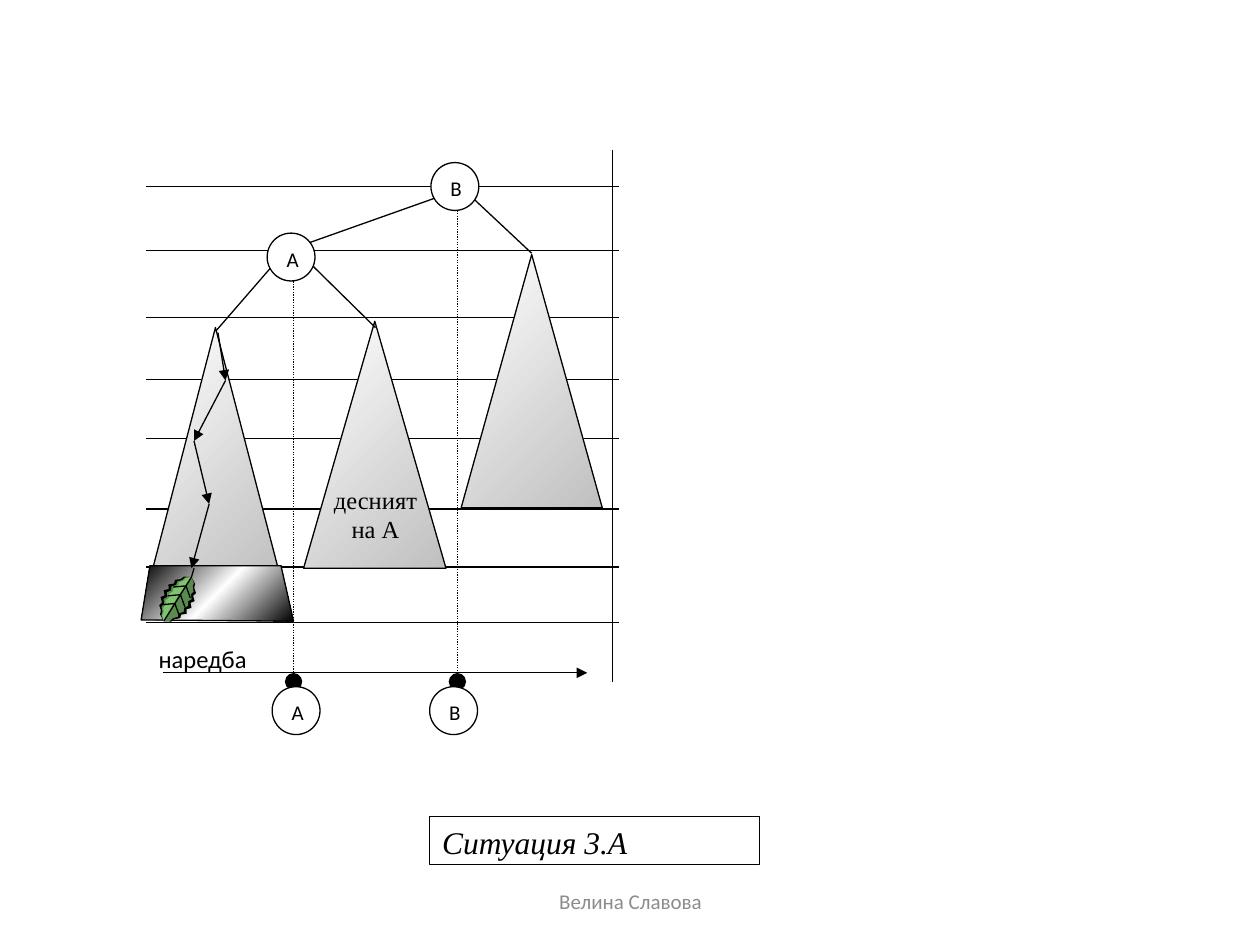
from collections import namedtuple
from copy import deepcopy
from math import pi, sin
from lxml import etree
from pptx import Presentation
from pptx.dml.color import RGBColor
from pptx.enum.dml import MSO_LINE
from pptx.enum.shapes import MSO_CONNECTOR, MSO_SHAPE
from pptx.enum.text import MSO_ANCHOR, PP_ALIGN
from pptx.oxml.ns import qn
from pptx.util import Inches, Pt

COLORS = {"ink": "000000", "paper": "FFFFFF", "shade": "C0C0C0",
          "leaf": "5A8A4F", "light": "7FC470", "footer": "8C8C8C"}

LEVELS = [3.8, 8.9, 14.2, 19.1, 23.8, 29.4, 34, 38.4]
PROJECTIONS = [(12.3, 10.1), (25.3, 5.1)]
SUBTREES = [(13.1, 14.5, 11.3, 19.6), (1, 15, 10.2, 19.6), (25.6, 9.2, 11.2, 20.1)]
EDGES = [((18.8, 15), (12.8, 9.1)), ((6.2, 15.2), (11.4, 9.2)),
         ((23.6, 4.7), (12.6, 8.6)), ((26.5, 4.7), (31.2, 9.1))]
NODES = [("B", 23.2, 1.9), ("A", 10.2, 7.5), ("B", 23.1, 43.5), ("A", 10.6, 43.5)]
SEARCH_PATH = [(6.3, 15.4), (6.9, 19.2), (4.4, 24), (5.6, 29), (4.2, 34.1)]
LEAF_ROW = [(0.9, 33.9), (0.2, 38.2), (12.3, 38.3), (11.3, 33.9)]


class Box(namedtuple("Box", "x y w h cols rows", defaults=(1, 1))):
    def at(self, c, r):
        return (Inches(self.x + c * self.w / self.cols),
                Inches(self.y + r * self.h / self.rows))

    def area(self, c, r, w, h):
        return (*self.at(c, r), Inches(w * self.w / self.cols),
                Inches(h * self.h / self.rows))


def rgb(name):
    return RGBColor.from_string(COLORS[name])


def outline(sp):
    sp.line.color.rgb = rgb("ink")
    sp.line.width = Pt(0.75)


def paint(sp, *names, lined=True):
    sp.shadow.inherit = False
    if len(names) == 1:
        sp.fill.solid()
        sp.fill.fore_color.rgb = rgb(names[0])
    else:
        sp.fill.gradient()
        sp.fill.gradient_angle = 315
        stops = sp._element.spPr.find(qn("a:gradFill")).find(qn("a:gsLst"))
        for _ in names[2:]:
            stops.append(deepcopy(stops[0]))
        for i, (stop, name) in enumerate(zip(sp.fill.gradient_stops, names)):
            stop.color.rgb = rgb(name)
            stop.position = i / (len(names) - 1)
    if lined:
        outline(sp)
    else:
        sp.line.fill.background()


def line(s, box, start, end, tail=None, size="med", dash=None):
    cn = s.shapes.add_connector(MSO_CONNECTOR.STRAIGHT, *box.at(*start), *box.at(*end))
    outline(cn)
    if dash:
        cn.line.dash_style = dash
    if tail:
        etree.SubElement(cn.line._get_or_add_ln(), qn("a:tailEnd"),
                         type=tail, w=size, len=size)
    etree.SubElement(cn._element.spPr, qn("a:effectLst"))


def polygon(s, box, points, *names, lined=True):
    corners = [box.at(*pt) for pt in points]
    fb = s.shapes.build_freeform(*corners[0])
    fb.add_line_segments(corners[1:], close=True)
    paint(fb.convert_to_shape(), *names, lined=lined)


def write(sp, text, size, font="Calibri", color="ink", align=PP_ALIGN.LEFT,
          anchor=MSO_ANCHOR.TOP, italic=False):
    tf = sp.text_frame
    tf.word_wrap = True
    tf.vertical_anchor = anchor
    tf.text = text
    for p in tf.paragraphs:
        p.alignment = align
        for r in p.runs:
            r.font.size = Pt(size)
            r.font.name = font
            r.font.italic = italic
            r.font.color.rgb = rgb(color)


def leaf_point(t, offset):
    return 26 - 22 * t + 0.85 * offset, 8 + 35 * t + 0.54 * offset


def leaf_edge(width):
    teeth = 14
    return [leaf_point(k / teeth, width * (1 if k % 2 else 0.8) * sin(pi * k / teeth) ** 0.6)
            for k in range(teeth + 1)]


def add_leaf(s, box):
    for name, left, right in [("ink", -13, 13), ("leaf", -10, 10), ("light", -8, -1)]:
        polygon(s, box, leaf_edge(left) + leaf_edge(right)[::-1], name, lined=False)
    line(s, box, (28, 1), leaf_point(0, 0))
    line(s, box, leaf_point(0, 0), leaf_point(1, 0))
    for t in (0.2, 0.4, 0.6):
        for side in (-8, 8):
            line(s, box, leaf_point(t, 0), leaf_point(t + 0.15, side))


def add_tree(s, box):
    for c, r in PROJECTIONS:
        line(s, box, (c, r), (c, 43.1), "oval", "lg", MSO_LINE.ROUND_DOT)
    for r in LEVELS:
        line(s, box, (0.6, r), (38.1, r))
    for place in SUBTREES:
        paint(s.shapes.add_shape(MSO_SHAPE.ISOSCELES_TRIANGLE, *box.area(*place)),
              "paper", "shade")
    for start, end in EDGES:
        line(s, box, start, end)
    for name, c, r in NODES:
        sp = s.shapes.add_shape(MSO_SHAPE.OVAL, *box.area(c, r, 3.8, 3.8))
        paint(sp, "paper")
        write(sp, name, 12)
    line(s, box, (37.6, 0.9), (37.6, 43.1))
    polygon(s, box, LEAF_ROW, "ink", "paper", "ink")
    for start, end in zip(SEARCH_PATH, SEARCH_PATH[1:]):
        line(s, box, start, end, "triangle")
    line(s, box, (1.9, 42.4), (35.6, 42.4), "triangle")
    write(s.shapes.add_textbox(*box.area(0.6, 39.6, 16.2, 4.7)), "наредба", 14,
          align=PP_ALIGN.JUSTIFY)
    write(s.shapes.add_textbox(*box.area(11.4, 27, 14.8, 5.7)), "десният\nна А", 14,
          "Times New Roman", align=PP_ALIGN.CENTER)


def add_caption(s, box):
    sp = s.shapes.add_shape(MSO_SHAPE.RECTANGLE, *box.area(0, 0, 1, 1))
    paint(sp, "paper")
    write(sp, "Ситуация 3.А", 18, "Times New Roman", align=PP_ALIGN.JUSTIFY, italic=True)
    sp.text_frame.margin_bottom = 0


def add_footer(s, box):
    write(s.shapes.add_textbox(*box.area(0, 0, 1, 1)), "Велина Славова", 12,
          color="footer", align=PP_ALIGN.CENTER, anchor=MSO_ANCHOR.MIDDLE)


def main():
    prs = Presentation()
    prs.slide_width, prs.slide_height = Inches(10), Inches(7.5)
    s = prs.slides.add_slide(prs.slide_layouts[6])
    add_tree(s, Box(1.1, 1.1, 3.8, 4.8, 38, 48))
    add_leaf(s, Box(1.26, 4.5, 0.32, 0.44, 32, 44))
    add_caption(s, Box(3.41, 6.48, 2.62, 0.38))
    add_footer(s, Box(3.42, 6.95, 3.17, 0.4))
    prs.save("out.pptx")


if __name__ == "__main__":
    main()
